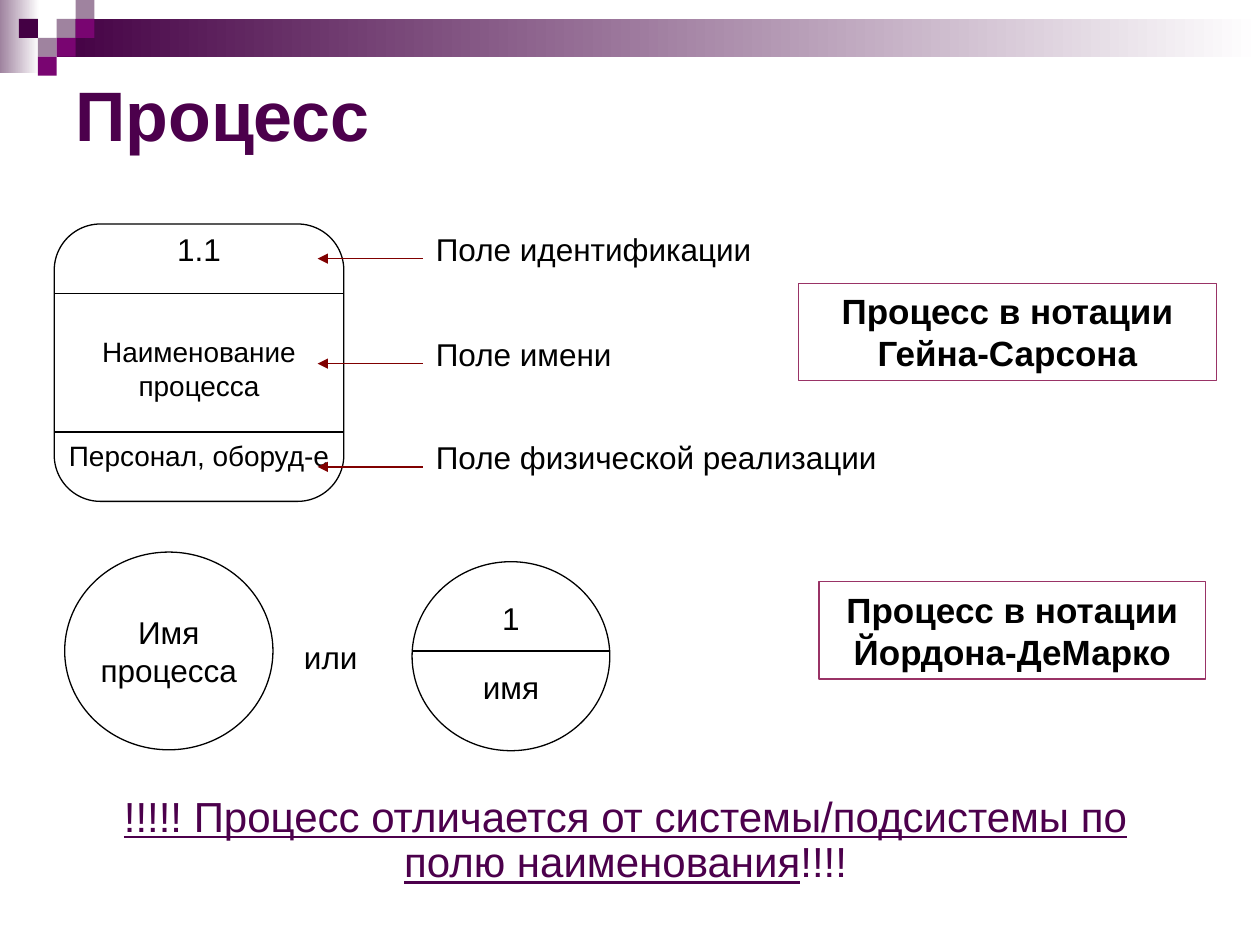
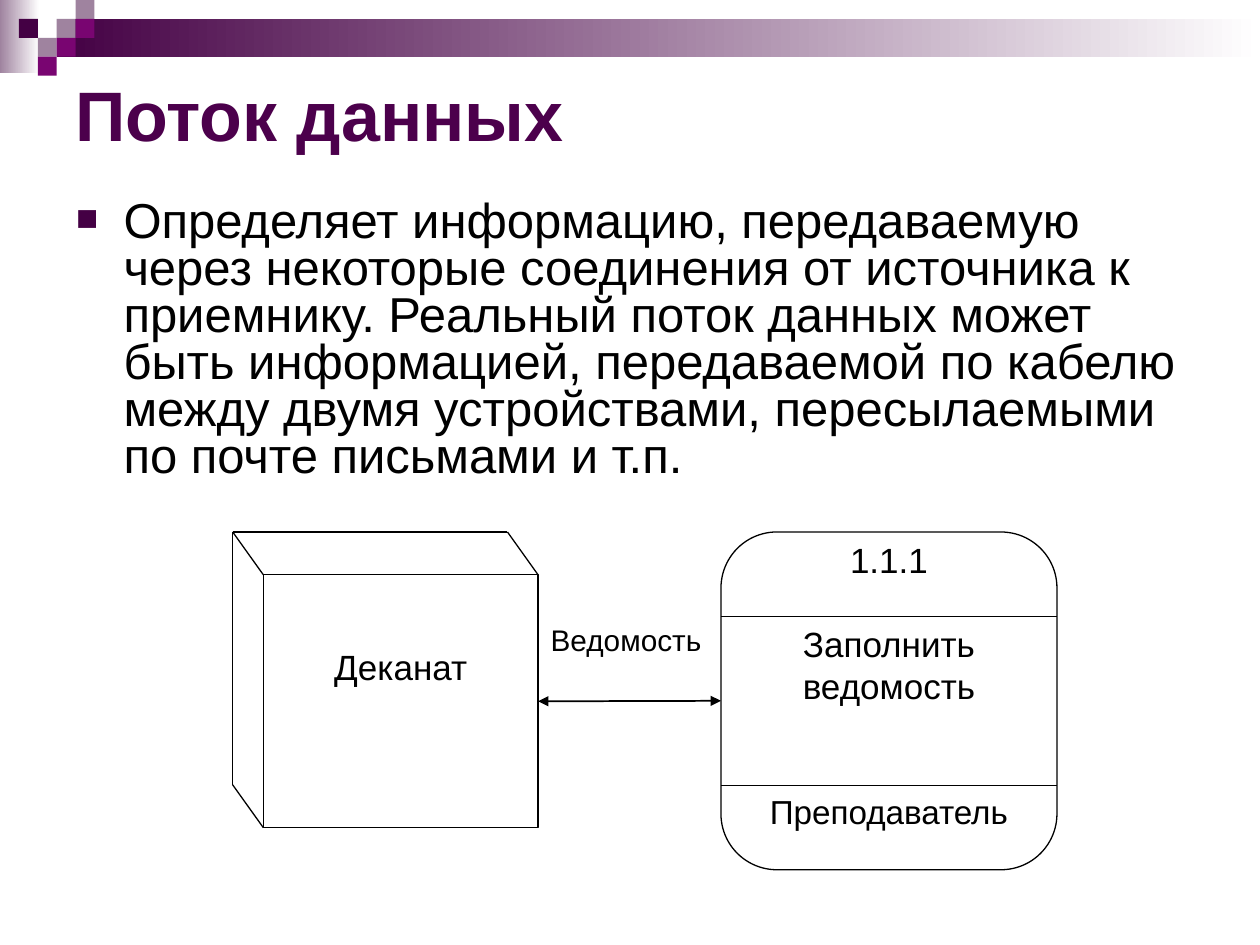
"""Build two slides on the process and the data flow of a DFD."""
from dataclasses import dataclass

from lxml.etree import SubElement
from pptx import Presentation
from pptx.dml.color import RGBColor as Rgb
from pptx.enum.shapes import MSO_CONNECTOR as Link, MSO_SHAPE as Kind
from pptx.enum.text import MSO_ANCHOR as Anchor, PP_ALIGN as Align
from pptx.oxml import parse_xml
from pptx.oxml.ns import nsdecls, qn
from pptx.util import Pt


@dataclass(frozen=True)
class Theme:
    font: str = "Arial"
    ink: str = "000000"
    paper: str = "FFFFFF"
    title: str = "4C004C"
    dark: str = "440044"
    mid: str = "790571"
    pale: str = "9F839F"
    frame: str = "993366"
    arrow: str = "800000"
    head: int = 40
    body: int = 28
    note: int = 24
    large: int = 20
    base: int = 18
    small: int = 16
    flow: int = 17
    staff: int = 19
    thin: float = 0.75


T = Theme()

BANDS = [((0, 0, 22.5, 42), T.pale), ((32.5, 11, 687.5, 21.5), T.dark)]
TILE = 10.8
TILES = [(3, 1, T.pale), (4, 0, T.pale), (4, 1, T.mid), (2, 2, T.pale),
         (1, 1, T.dark), (3, 2, T.mid), (2, 3, T.mid)]

BOX = (31, 128, 165.5, 158.5)
PARTS = [("1.1", T.base, 0), ("Наименование процесса", T.small, 20),
         ("Персонал, оборуд-е", T.small, 0)]
FIELDS = [("Поле идентификации", 128), ("Поле имени", 188),
          ("Поле физической реализации", 247)]
CARDS = [("Процесс в нотации Гейна-Сарсона", (456.5, 162, 238.5, 55.5)),
         ("Процесс в нотации Йордона-ДеМарко", (468, 332.5, 221, 55.5))]
CIRCLE = ("Имя\nпроцесса", (37, 315.5, 119, 113))
SPLIT = (235.5, 321, 113, 108)
MARKS = [("1", (235.5, 338.5, 113, 29)), ("имя", (235.5, 378, 113, 29)),
         ("или", (160.5, 361, 57, 29))]
NOTE = [("!!!!! Процесс отличается от системы/подсистемы по полю наименования",
         True), ("!!!!", False)]

BODY = ("Определяет информацию, передаваемую через некоторые соединения от "
        "источника к приемнику. Реальный поток данных может быть информацией, "
        "передаваемой по кабелю между двумя устройствами, пересылаемыми по "
        "почте письмами и т.п.")
TASK = (412, 304, 192, 193)
STEPS = [("1.1.1", T.large, 0), ("Заполнить ведомость", T.large, 0),
         ("Преподаватель", T.staff, 0)]
FRONT = (150.5, 328.5, 157, 144.5)
DEPTH = (17.5, 24.5)


def pts(nums):
    return [Pt(n) for n in nums]


def write(shape, words, size, align=Align.CENTER, color=T.ink, bold=False,
          anchor=Anchor.TOP, drop=0, wrap=True):
    frame = shape.text_frame
    frame.word_wrap = wrap
    frame.vertical_anchor = anchor
    frame.margin_top = Pt(3.6 + drop)
    frame.text = words
    for para in frame.paragraphs:
        para.alignment = align
        font = para.font
        font.name, font.size, font.bold = T.font, Pt(size), bold
        font.color.rgb = Rgb.from_string(color)
    return shape


def label(slide, box, words, size, **style):
    return write(slide.shapes.add_textbox(*pts(box)), words, size, **style)


def shape(slide, kind, box, fill=None, line=None):
    item = slide.shapes.add_shape(kind, *pts(box))
    item.shadow.inherit = False
    if fill:
        item.fill.solid()
        item.fill.fore_color.rgb = Rgb.from_string(fill)
    else:
        item.fill.background()
    if line:
        item.line.color.rgb = Rgb.from_string(line)
        item.line.width = Pt(T.thin)
    else:
        item.line.fill.background()
    return item


def line(slide, ends, color=T.ink, width=T.thin, tips=()):
    item = slide.shapes.add_connector(Link.STRAIGHT, *pts(ends))
    item.line.color.rgb = Rgb.from_string(color)
    item.line.width = Pt(width)
    edge = item.line._get_or_add_ln()
    for tip in tips:
        SubElement(edge, qn("a:" + tip), type="triangle")
    SubElement(item._element.spPr, qn("a:effectLst"))
    return item


def start(deck, title):
    slide = deck.slides.add_slide(deck.slide_layouts[6])
    for box, color in BANDS:
        fill = shape(slide, Kind.RECTANGLE, box, color).fill
        fill.gradient()
        fill.gradient_angle = 0
        for stop, tone in zip(fill.gradient_stops, (color, T.paper)):
            stop.color.rgb = Rgb.from_string(tone)
    for col, row, color in TILES:
        box = (col * TILE, row * TILE, TILE, TILE)
        shape(slide, Kind.RECTANGLE, box, color)
    label(slide, (36, 36, 648, 58), title, T.head, align=Align.LEFT,
          color=T.title, bold=True, anchor=Anchor.MIDDLE)
    return slide


def process(slide, box, parts):
    left, top, wide, high = box
    frame = shape(slide, Kind.FLOWCHART_ALTERNATE_PROCESS, box, T.paper, T.ink)
    cuts = [top + high * share for share in (0, 0.25, 0.75, 1)]
    for y in cuts[1:3]:
        line(slide, (left, y, left + wide, y))
    for (words, size, drop), y, end in zip(parts, cuts, cuts[1:]):
        label(slide, (left, y, wide, end - y), words, size, drop=drop)
    return frame


def cube(slide, box, depth, words):
    left, top, wide, high = box
    dx, dy = depth
    front = shape(slide, Kind.RECTANGLE, box, T.paper, T.ink)
    write(front, words, T.large, drop=37)
    x, y = left - dx, top - dy
    for px, py in ((x, y), (x + wide, y), (x, y + high)):
        line(slide, (px, py, px + dx, py + dy))
    line(slide, (x, y, x + wide, y))
    line(slide, (x, y, x, y + high))
    return front


def bullet(para):
    props = para._p.get_or_add_pPr()
    props.set("marL", str(Pt(27)))
    props.set("indent", str(Pt(-27)))
    font = props.find(qn("a:defRPr"))
    for mark in (f'<a:buClr {nsdecls("a")}><a:srgbClr val="{T.dark}"/></a:buClr>',
                 f'<a:buSzPct {nsdecls("a")} val="75000"/>',
                 f'<a:buFont {nsdecls("a")} typeface="{T.font}"/>',
                 f'<a:buChar {nsdecls("a")} char="■"/>'):
        font.addprevious(parse_xml(mark))


def first(deck):
    slide = start(deck, "Процесс")
    process(slide, BOX, PARTS)
    for words, y in FIELDS:
        field = label(slide, (242, y, 272, 39.6), words, T.base,
                      align=Align.LEFT)
        mid = y + 19.8
        arrow = line(slide, (181.5, mid, 242, mid), T.arrow, tips=["headEnd"])
        arrow.end_connect(field, 1)
    for words, box in CARDS:
        card = shape(slide, Kind.RECTANGLE, box, line=T.frame)
        write(card, words, T.large, bold=True)
    words, box = CIRCLE
    write(shape(slide, Kind.OVAL, box, line=T.ink), words, T.base,
          anchor=Anchor.MIDDLE, wrap=False)
    shape(slide, Kind.OVAL, SPLIT, line=T.ink)
    line(slide, (SPLIT[0], 372, SPLIT[0] + SPLIT[2], 372))
    for words, box in MARKS:
        label(slide, box, words, T.base)
    note = label(slide, (54, 451.5, 607, 59), "", T.note, color=T.title)
    para = note.text_frame.paragraphs[0]
    para.line_spacing = 0.9
    for words, under in NOTE:
        run = para.add_run()
        run.text, run.font.underline = words, under


def second(deck):
    slide = start(deck, "Поток данных")
    body = label(slide, (36.5, 111, 648, 170), BODY, T.body, align=Align.LEFT)
    para = body.text_frame.paragraphs[0]
    para.line_spacing = 0.8
    para.space_before = Pt(7)
    bullet(para)
    task = process(slide, TASK, STEPS)
    front = cube(slide, FRONT, DEPTH, "Деканат")
    flow = line(slide, (307.5, 400.5, 412, 400.5), width=1,
                tips=["headEnd", "tailEnd"])
    flow.begin_connect(front, 3)
    flow.end_connect(task, 1)
    label(slide, (307.5, 352, 104.5, 48), "Ведомость", T.flow,
          align=Align.LEFT)


def main():
    deck = Presentation()
    deck.slide_width, deck.slide_height = Pt(720), Pt(540)
    first(deck)
    second(deck)
    deck.save("out.pptx")


if __name__ == "__main__":
    main()
